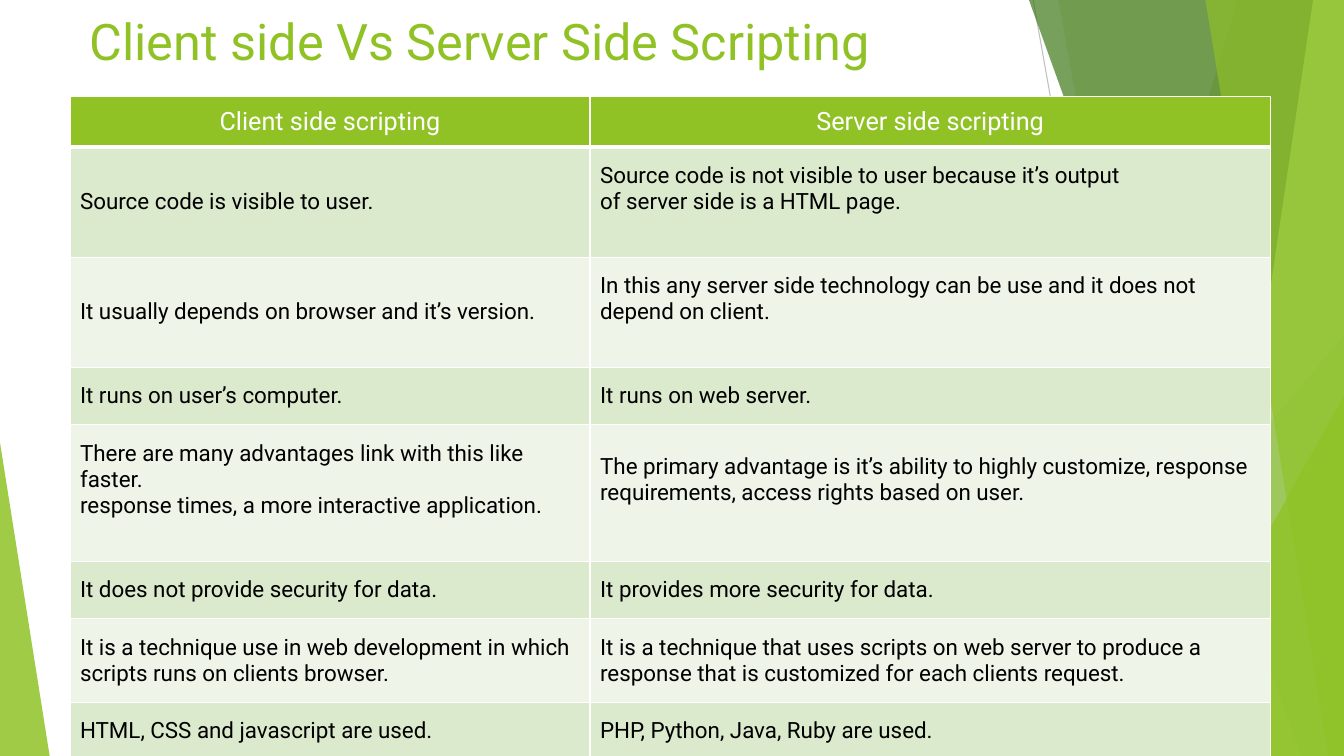
from pptx import Presentation
from pptx.dml.color import RGBColor
from pptx.enum.shapes import MSO_CONNECTOR, MSO_SHAPE
from pptx.enum.text import MSO_ANCHOR, PP_ALIGN
from pptx.oxml.ns import qn
from pptx.util import Pt
from lxml.etree import SubElement

WIDTH, HEIGHT = 960, 540
COLOURS = {
    "lime": "90C226", "green": "54A021", "forest": "3F7819", "pale": "C0E474",
    "band dark": "DBE9CD", "band light": "EEF4E8", "white": "FFFFFF",
    "black": "000000", "grey": "BFBFBF", "light grey": "D9D9D9",
}


def write_text(text_frame, text, size=16, colour="black", align=PP_ALIGN.LEFT):
    text_frame.word_wrap = True
    paragraph = text_frame.paragraphs[0]
    paragraph.text = text
    paragraph.alignment = align
    paragraph.font.size = Pt(size)
    paragraph.font.name = "Roboto"
    paragraph.font.color.rgb = RGBColor.from_string(COLOURS[colour])


def paint(shape, colour, opacity):
    shape.shadow.inherit = False
    shape.line.fill.background()
    shape.fill.solid()
    shape.fill.fore_color.rgb = RGBColor.from_string(COLOURS[colour])
    colour_element = shape.fill._xPr.find(qn("a:solidFill"))[0]
    SubElement(colour_element, qn("a:alpha"), val=str(opacity * 1000))


presentation = Presentation()
presentation.slide_width, presentation.slide_height = Pt(WIDTH), Pt(HEIGHT)
slide = presentation.slides.add_slide(presentation.slide_layouts[6])
shapes = slide.shapes

# Thin background lines
for x1, y1, x2, y2, colour in [
    (738, 0, 834, HEIGHT, "grey"),
    (WIDTH, 290, 585, HEIGHT, "light grey"),
]:
    line = shapes.add_connector(MSO_CONNECTOR.STRAIGHT, Pt(x1), Pt(y1), Pt(x2), Pt(y2))
    line.line.color.rgb = RGBColor.from_string(COLOURS[colour])
    line.line.width = Pt(0.75)
    SubElement(line._element.spPr, qn("a:effectLst"))

# Translucent facets: bands run from a top x and a bottom x to the right edge,
# triangles fill a box with the apex at its left (0) or right (1)
facets = [
    ("band", (884, 723), "lime", 30),
    ("band", (756, 852), "lime", 20),
    ("triangle", (703.5, 240, 256.5, 300, 1), "green", 72),
    ("band", (735, 929.5), "forest", 70),
    ("band", (938, 858), "pale", 70),
    ("band", (861, 949), "lime", 65),
    ("triangle", (816.5, 283, 143.5, 257, 1), "lime", 80),
    ("triangle", (0, 316, 35.5, 224, 0), "lime", 85),
]
for kind, geometry, colour, opacity in facets:
    if kind == "band":
        top_x, bottom_x = geometry
        builder = shapes.build_freeform(Pt(top_x), 0, scale=1.0)
        corners = [(WIDTH, 0), (WIDTH, HEIGHT), (bottom_x, HEIGHT)]
        builder.add_line_segments([(Pt(x), Pt(y)) for x, y in corners], close=True)
        facet = builder.convert_to_shape()
    else:
        *box, apex = geometry
        facet = shapes.add_shape(MSO_SHAPE.ISOSCELES_TRIANGLE, *map(Pt, box))
        facet.adjustments[0] = apex
    paint(facet, colour, opacity)

# Title
title = shapes.add_textbox(Pt(57), Pt(0), Pt(828), Pt(69))
title.text_frame.margin_left = title.text_frame.margin_top = Pt(7.2)
write_text(title.text_frame, "Client side Vs Server Side Scripting", size=36, colour="lime")

# Comparison rows: height, client text, server text
rows = [
    (35.5, "Client side scripting", "Server side scripting"),
    (76.5, "Source code is visible to user.",
     "Source code is not visible to user because it’s output\vof server side is a HTML page."),
    (77, "It usually depends on browser and it’s version.",
     "In this any server side technology can be use and it does not\vdepend on client."),
    (39.5, "It runs on user’s computer.", "It runs on web server."),
    (95.5, "There are many advantages link with this like faster.\v"
     "response times, a more interactive application.",
     "The primary advantage is it’s ability to highly customize, response\v"
     "requirements, access rights based on user."),
    (39.5, "It does not provide security for data.", "It provides more security for data."),
    (58, "It is a technique use in web development in which scripts runs on clients browser.",
     "It is a technique that uses scripts on web server to produce a response "
     "that is customized for each clients request."),
    (39.5, "HTML, CSS and javascript are used.", "PHP, Python, Java, Ruby are used."),
]
column_widths = [371.5, 486]
table_height = sum(row[0] for row in rows)
table = shapes.add_table(len(rows), 2, Pt(50), Pt(69), Pt(sum(column_widths)),
                         Pt(table_height)).table
for column, width in zip(table.columns, column_widths):
    column.width = Pt(width)

for row_index, (height, *texts) in enumerate(rows):
    table.rows[row_index].height = Pt(height)
    header = row_index == 0
    for column_index, text in enumerate(texts):
        cell = table.cell(row_index, column_index)
        cell.vertical_anchor = MSO_ANCHOR.MIDDLE
        cell.margin_left = cell.margin_right = Pt(7.2)
        cell.margin_top = Pt(7.2 if header else 10.8)
        # Texts with a forced break sit one line higher
        cell.margin_bottom = cell.margin_top + Pt(18.7 if "\v" in text else 0)
        if header:
            fill_colour = "lime"
            write_text(cell.text_frame, text, size=18, colour="white", align=PP_ALIGN.CENTER)
        else:
            fill_colour = "band dark" if row_index % 2 else "band light"
            write_text(cell.text_frame, text)

        # White borders, heavier below the header
        for side in ("L", "R", "T", "B"):
            heavy = (row_index, side) in [(0, "B"), (1, "T")]
            border = SubElement(cell._tc.get_or_add_tcPr(), qn(f"a:ln{side}"),
                                w=str(Pt(3 if heavy else 1)))
            border_fill = SubElement(border, qn("a:solidFill"))
            SubElement(border_fill, qn("a:srgbClr"), val=COLOURS["white"])
        cell.fill.solid()
        cell.fill.fore_color.rgb = RGBColor.from_string(COLOURS[fill_colour])

presentation.save("out.pptx")
